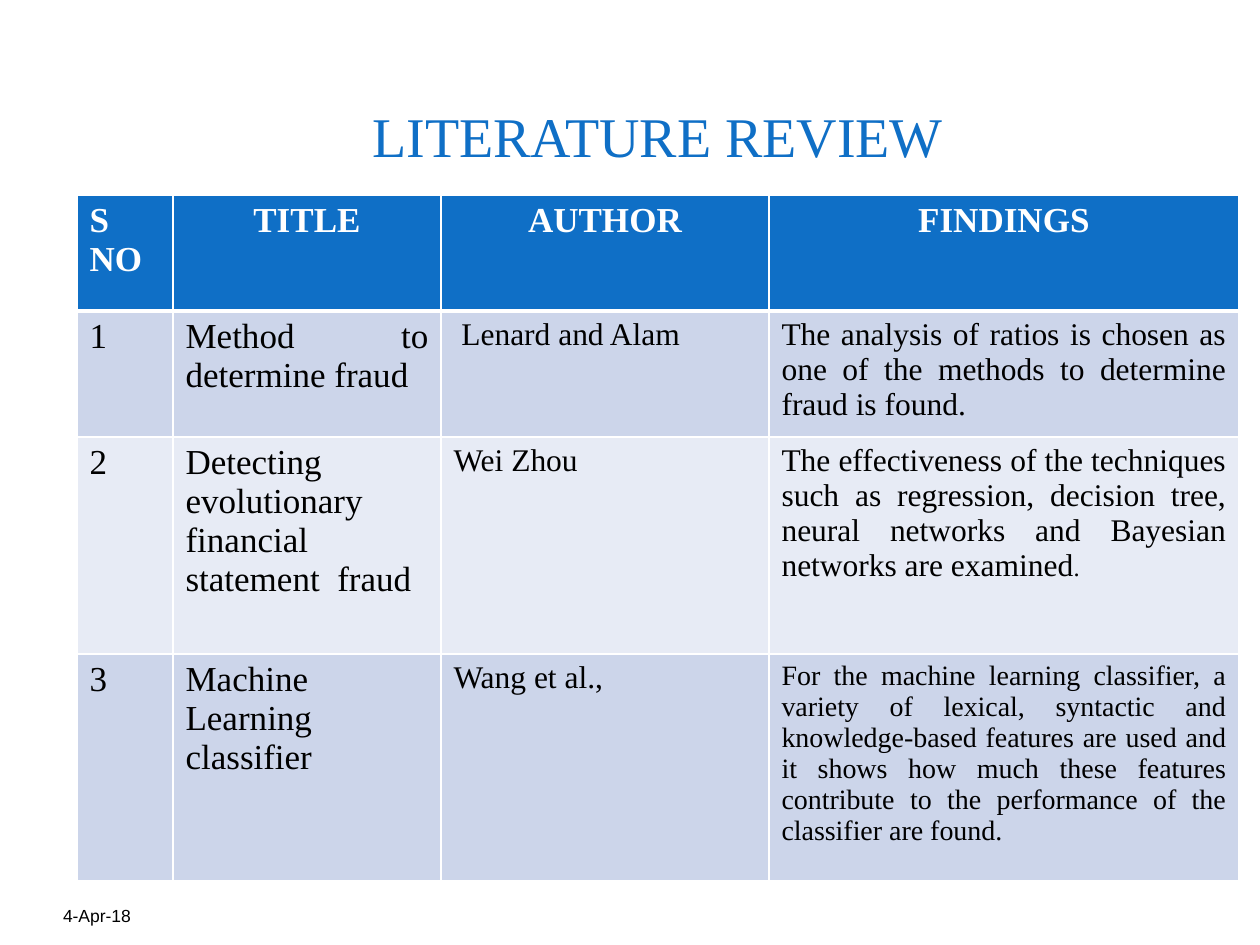
from lxml import etree
from pptx import Presentation
from pptx.dml.color import RGBColor
from pptx.enum.text import MSO_ANCHOR, PP_ALIGN
from pptx.oxml.ns import qn
from pptx.util import Emu, Pt

LEFT, CENTER, JUSTIFY = PP_ALIGN.LEFT, PP_ALIGN.CENTER, PP_ALIGN.JUSTIFY
BOTTOM = MSO_ANCHOR.BOTTOM
SERIF, SANS = "Times New Roman", "Arial"
BLUE, WHITE, BLACK = "0F6FC6", "FFFFFF", "000000"
BANDS = ["CCD5EA", "E7EBF5"]


def px(length):
    return Emu(round(length * 914400 / 126))


def add_span(para, text, size, color, font=SERIF, bold=False):
    span = para.add_run()
    span.text = text
    span.font.size = Pt(size)
    span.font.name = font
    span.font.bold = bold
    span.font.color.rgb = RGBColor.from_string(color)


deck = Presentation()
deck.slide_width, deck.slide_height = px(1260), px(945)
page = deck.slides.add_slide(deck.slide_layouts[6])

labels = [
    ("LITERATURE REVIEW", (91, 11, 1134, 158), 6, CENTER, 32, BLUE, SERIF),
    ("4-Apr-18", (63, 876, 294, 50), 0, LEFT, 10, BLACK, SANS),
]
for text, place, top_inset, align, size, color, font in labels:
    box = page.shapes.add_textbox(*map(px, place))
    frame = box.text_frame
    frame.word_wrap = True
    frame.vertical_anchor = BOTTOM
    frame.margin_left = frame.margin_right = frame.margin_bottom = 0
    frame.margin_top = px(top_inset)
    para = frame.paragraphs[0]
    para.alignment = align
    add_span(para, text, size, color, font)

headings = ["S NO", "TITLE", "AUTHOR", "FINDINGS"]
studies = [
    ("Method to determine fraud", " Lenard and Alam",
     [("The analysis of ratios is chosen as one of the methods to determine "
       "fraud is found.", 18)]),
    ("Detecting evolutionary financial statement  fraud", "Wei Zhou ",
     [("The effectiveness of the techniques such as regression, decision tree, "
       "neural networks and Bayesian networks are examined", 18), (".", 14)]),
    ("Machine Learning classifier ", "Wang et al., ",
     [("For the machine learning classifier, a variety of lexical, syntactic and "
       "knowledge-based features are used and it shows how much these features "
       "contribute to the performance of the classifier are found.", 16)]),
]
rows = [[[(heading, 20)] for heading in headings]]
for number, (title, author, findings) in enumerate(studies, 1):
    rows.append([[(str(number), 20)], [(title, 20)], [(author, 18)], findings])

widths = [96, 268, 328, 470]
heights = [116, 116, 217, 227]
table = page.shapes.add_table(
    len(rows), len(widths), px(77), px(195), px(sum(widths)), px(sum(heights))
).table
for column, width in zip(table.columns, widths):
    column.width = px(width)
for row, height in zip(table.rows, heights):
    row.height = px(height)

for r, row in enumerate(rows):
    header = r == 0
    for c, spans in enumerate(row):
        cell = table.cell(r, c)
        properties = cell._tc.get_or_add_tcPr()
        for side in ("lnL", "lnR", "lnT", "lnB"):
            thick = (r, side) in ((0, "lnB"), (1, "lnT"))
            line = etree.SubElement(properties, qn(f"a:{side}"), w=str(Pt(3 if thick else 1)))
            paint = etree.SubElement(line, qn("a:solidFill"))
            etree.SubElement(paint, qn("a:srgbClr"), val=WHITE)
        cell.fill.solid()
        cell.fill.fore_color.rgb = RGBColor.from_string(BLUE if header else BANDS[(r - 1) % 2])
        para = cell.text_frame.paragraphs[0]
        para.alignment = CENTER if header and c > 0 else JUSTIFY
        for text, size in spans:
            add_span(para, text, size, WHITE if header else BLACK, bold=header)

deck.save("out.pptx")
